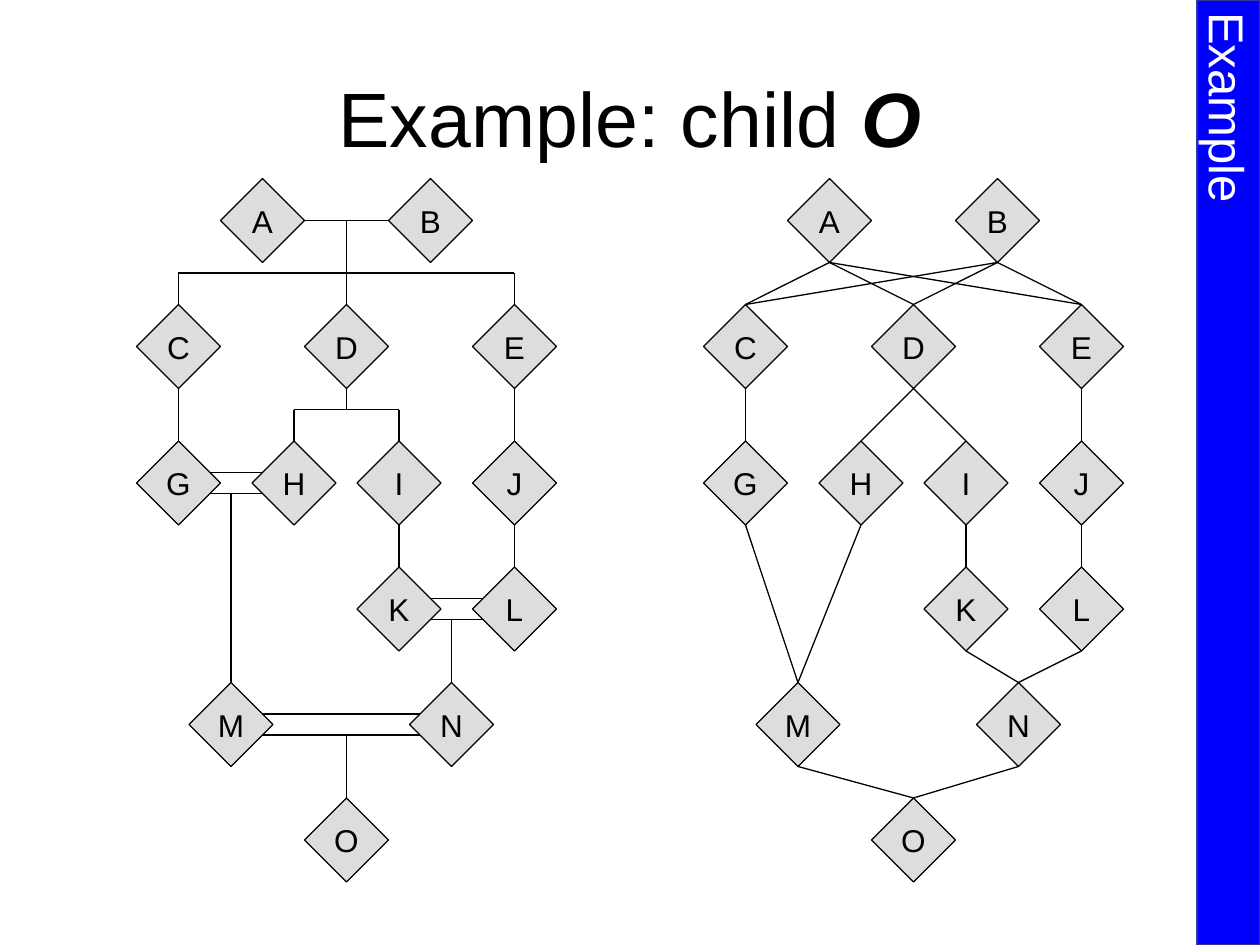
from lxml import etree
from pptx import Presentation
from pptx.dml.color import RGBColor
from pptx.enum.shapes import MSO_CONNECTOR, MSO_SHAPE
from pptx.enum.text import MSO_ANCHOR, PP_ALIGN
from pptx.oxml.ns import qn
from pptx.util import Inches, Pt

DIAMOND, RECT = MSO_SHAPE.DIAMOND, MSO_SHAPE.RECTANGLE
STRAIGHT = MSO_CONNECTOR.STRAIGHT
CENTER, MIDDLE = PP_ALIGN.CENTER, MSO_ANCHOR.MIDDLE

BLACK = RGBColor(0x00, 0x00, 0x00)
WHITE = RGBColor(0xFF, 0xFF, 0xFF)
GREY = RGBColor(0xDD, 0xDD, 0xDD)
BLUE = RGBColor(0x00, 0x00, 0xFF)
NAVY = RGBColor(0x33, 0x33, 0x99)

# Grid of 120 columns by 90 rows, twelve to the inch
COLS, ROWS = 120, 90
HALF = 4         # half a diamond
INSET = 3        # where a marriage bar meets a diamond
RIGHT_TREE = 54  # columns from the left tree to the right one

# Centre of each person as (column, row)
PEOPLE = {
    "A": (25, 21), "B": (41, 21),
    "C": (17, 33), "D": (33, 33), "E": (49, 33),
    "G": (17, 46), "H": (28, 46), "I": (38, 46), "J": (49, 46),
    "K": (38, 58), "L": (49, 58),
    "M": (22, 69), "N": (43, 69),
    "O": (33, 80),
}
ONLY_CHILDREN = ["CG", "EJ", "IK", "JL"]
MARRIAGES = ["GHM", "KLN", "MNO"]  # two parents and their child
PARENT_CHILD = ["AC", "AD", "AE", "BC", "BD", "BE", "DH", "DI",
                "GM", "HM", "KN", "LN", "MO", "NO"]


def write(tf, text, size=18, color=BLACK, bold=None, italic=None,
          font="Arial", wrap=False):
    """Add a centred run to the frame's first paragraph."""
    tf.word_wrap, tf.vertical_anchor = wrap, MIDDLE
    p = tf.paragraphs[0]
    p.alignment = CENTER
    r = p.add_run()
    r.text = text
    r.font.name, r.font.size, r.font.color.rgb = font, Pt(size), color
    r.font.bold, r.font.italic = bold, italic


class Pedigree:
    """Holds the style, the current slide and the tree's column offset."""

    def __init__(self, prs, line_width=0.75):
        self.s = prs.slides.add_slide(prs.slide_layouts[6])
        self.dx, self.dy = prs.slide_width / COLS, prs.slide_height / ROWS
        self.line_width = line_width
        self.offset = 0

    def pos(self, col, row):
        return round((col + self.offset) * self.dx), round(row * self.dy)

    def shape(self, kind, col, row, w, h, fill, line, width):
        sp = self.s.shapes.add_shape(kind, *self.pos(col, row),
                                     round(w * self.dx), round(h * self.dy))
        sp.shadow.inherit = False
        sp.fill.solid()
        sp.fill.fore_color.rgb = fill
        sp.line.color.rgb = line
        sp.line.width = Pt(width)
        return sp

    def line(self, x1, y1, x2, y2):
        c = self.s.shapes.add_connector(STRAIGHT, *self.pos(x1, y1),
                                        *self.pos(x2, y2))
        c.line.color.rgb = BLACK
        c.line.width = Pt(self.line_width)
        etree.SubElement(c._element.spPr, qn("a:effectLst"))

    def people(self):
        for name, (x, y) in PEOPLE.items():
            sp = self.shape(DIAMOND, x - HALF, y - HALF, 2 * HALF, 2 * HALF,
                            GREY, BLACK, self.line_width)
            write(sp.text_frame, name)

    def descent(self, pair):
        """Line from a parent's lower tip to a child's upper tip."""
        (x1, y1), (x2, y2) = (PEOPLE[n] for n in pair)
        self.line(x1, y1 + HALF, x2, y2 - HALF)

    def siblings(self, x, top, bar, names):
        """Stem to a bar, with a drop to every child."""
        kids = [PEOPLE[n] for n in names]
        self.line(x, top, x, bar)
        self.line(kids[0][0], bar, kids[-1][0], bar)
        for kx, ky in kids:
            self.line(kx, bar, kx, ky - HALF)

    def marriage(self, trio):
        """Double bar between relatives, with a drop to their child."""
        (x1, y), (x2, _), (cx, cy) = (PEOPLE[n] for n in trio)
        for row in (y - 1, y + 1):
            self.line(x1 + INSET, row, x2 - INSET, row)
        self.line(cx, y + 1, cx, cy - HALF)

    def title(self, text, emphasis):
        tb = self.s.shapes.add_textbox(*self.pos(6, 3.6), round(108 * self.dx),
                                       round(15 * self.dy))
        write(tb.text_frame, text, size=44, wrap=True)
        write(tb.text_frame, emphasis, size=44, bold=True, italic=True,
              wrap=True)

    def side_band(self, text):
        sp = self.shape(RECT, 114, 0, 6, ROWS, BLUE, NAVY, 1)
        write(sp.text_frame, text, size=28, color=WHITE)
        sp.text_frame._txBody.bodyPr.set("vert", "eaVert")


def main():
    prs = Presentation()
    prs.slide_width, prs.slide_height = Inches(10), Inches(7.5)
    tree = Pedigree(prs)

    # Left: pedigree with marriage bars
    tree.people()
    (ax, ay), (bx, _) = PEOPLE["A"], PEOPLE["B"]
    tree.line(ax + HALF, ay, bx - HALF, ay)
    tree.siblings((ax + bx) / 2, ay, 26, "CDE")
    tree.siblings(PEOPLE["D"][0], PEOPLE["D"][1] + HALF, 39, "HI")
    for pair in ONLY_CHILDREN:
        tree.descent(pair)
    for trio in MARRIAGES:
        tree.marriage(trio)

    # Right: the same family as a parent-child graph
    tree.offset = RIGHT_TREE
    tree.people()
    for pair in PARENT_CHILD + ONLY_CHILDREN:
        tree.descent(pair)

    # Side band and title
    tree.offset = 0
    tree.side_band("Example")
    tree.title("Example: child ", "O")
    prs.save("out.pptx")


if __name__ == "__main__":
    main()
